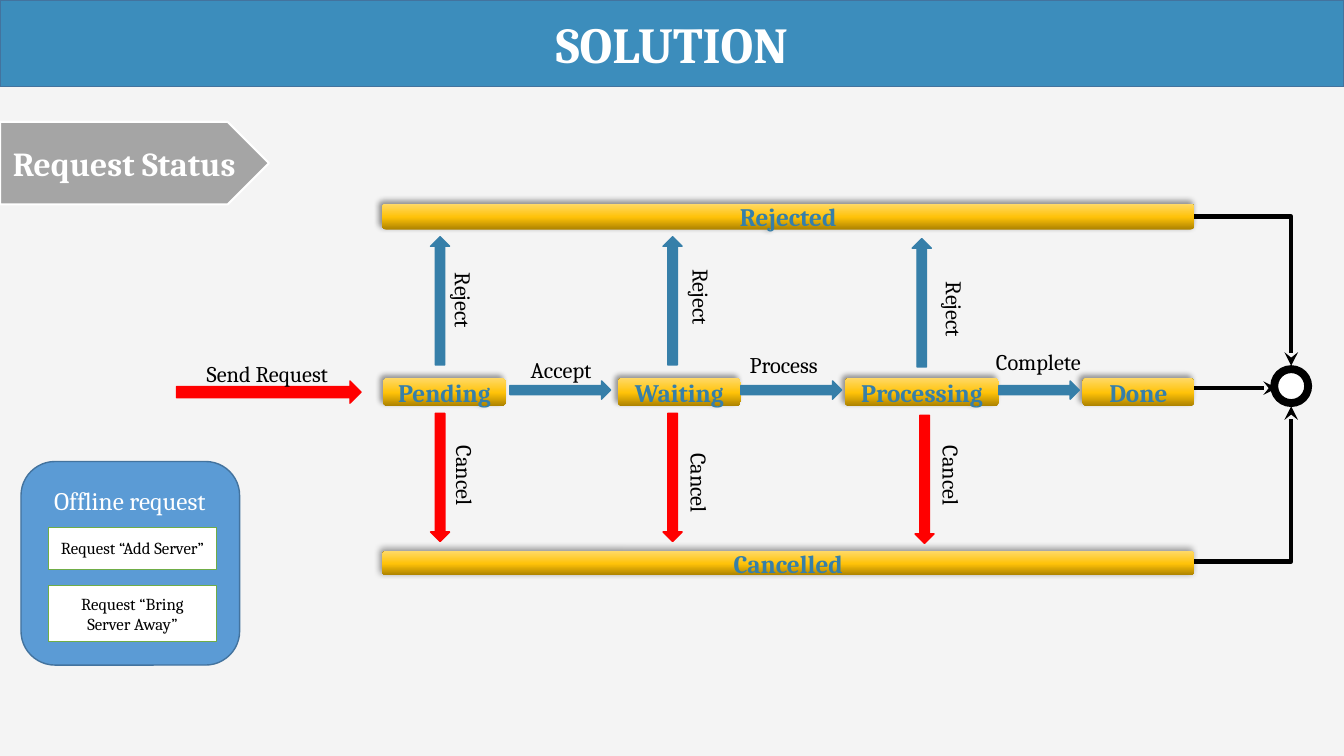
from copy import deepcopy
from dataclasses import dataclass

from lxml.etree import SubElement
from pptx import Presentation
from pptx.dml.color import RGBColor as Rgb
from pptx.enum.shapes import MSO_CONNECTOR as Link, MSO_SHAPE as Kind
from pptx.enum.text import MSO_ANCHOR as Anchor, PP_ALIGN as Align
from pptx.oxml.ns import qn
from pptx.util import Cm, Pt


@dataclass(frozen=True)
class Theme:
    font: str = "Cambria"
    page: str = "F4F4F4"
    banner: str = "3C8DBC"
    panel: str = "5B9BD5"
    panel_edge: str = "43739E"
    item_edge: str = "70AD47"
    tag: str = "A5A5A5"
    blue: str = "367FA9"
    red: str = "FF0000"
    black: str = "000000"
    white: str = "FFFFFF"
    gold: tuple = ((0, "AB8100"), (0.48, "FFC208"), (1, "FFD966"))
    title_size: float = 36
    tag_size: float = 24
    state_size: float = 18
    label_size: float = 16
    item_size: float = 12


def write(box, text, size, color, font, bold=False, spacing=None):
    frame = box.text_frame
    frame.word_wrap = True
    para = frame.paragraphs[0]
    para.alignment = Align.CENTER
    para.line_spacing = spacing
    span = para.add_run()
    span.text = text
    span.font.name, span.font.size, span.font.bold = font, Pt(size), bold
    span.font.color.rgb = Rgb.from_string(color)


class StatusDiagram:
    """Draws on one page; all lengths are in centimetres."""

    def __init__(self, page, theme):
        self.page, self.theme = page, theme
        page.background.fill.solid()
        page.background.fill.fore_color.rgb = Rgb.from_string(theme.page)

    def shape(self, kind, left, top, width, height, fill=None, edge=None,
              weight=1, group=None):
        shapes = (group or self.page).shapes
        box = shapes.add_shape(kind, Cm(left), Cm(top), Cm(width), Cm(height))
        box.shadow.inherit = False
        if fill:
            box.fill.solid()
            box.fill.fore_color.rgb = Rgb.from_string(fill)
        if edge:
            box.line.color.rgb = Rgb.from_string(edge)
            box.line.width = Pt(weight)
        else:
            box.line.fill.background()
        return box

    def caption(self, box, text, size, color=None, bold=False):
        box.text_frame.vertical_anchor = Anchor.MIDDLE
        write(box, text, size, color or self.theme.white, self.theme.font, bold)

    def state(self, text, left, top, width, height):
        """Gold bar, darkest at its lower edge, with a soft shadow."""
        box = self.shape(Kind.ROUNDED_RECTANGLE, left, top, width, height)
        box.fill.gradient()
        stops = box.element.spPr.find(".//" + qn("a:gsLst"))
        stops.insert(1, deepcopy(stops[0]))
        for stop, (position, color) in zip(box.fill.gradient_stops, self.theme.gold):
            stop.position = position
            stop.color.rgb = Rgb.from_string(color)
        box.fill.gradient_angle = 90
        effects = box.element.spPr.find(qn("a:effectLst"))
        shadow = SubElement(effects, qn("a:outerShdw"), blurRad=str(Pt(4)),
                            dist=str(Pt(3)), dir="13500000", algn="br", rotWithShape="0")
        shade = SubElement(shadow, qn("a:srgbClr"), val=self.theme.black)
        SubElement(shade, qn("a:alpha"), val="40000")
        self.caption(box, text, self.theme.state_size, self.theme.blue, bold=True)

    def arrow(self, left, top, length, thickness, color):
        return self.shape(Kind.RIGHT_ARROW, left, top, length, thickness, color, color)

    def upright_arrow(self, x, y, color, turn):
        """Arrow centred on (x, y), turned to point up (270) or down (90)."""
        length, thickness = 3.23, 0.48
        arrow = self.arrow(x - length / 2, y - thickness / 2, length, thickness, color)
        arrow.rotation = turn

    def label(self, text, x, y, turn=0):
        """Text centred on (x, y)."""
        width, height = 4.24, 0.91
        box = self.page.shapes.add_textbox(Cm(x - width / 2), Cm(y - height / 2),
                                           Cm(width), Cm(height))
        box.rotation = turn
        write(box, text, self.theme.label_size, self.theme.black, self.theme.font,
              spacing=0.9)

    def circle(self, x, y, diameter, fill):
        corner = x - diameter / 2, y - diameter / 2
        self.shape(Kind.OVAL, *corner, diameter, diameter, fill, self.theme.black)

    def link(self, start, end):
        """Line with an arrowhead; one bend when the ends differ in height."""
        bent = start[1] != end[1]
        line = self.page.shapes.add_connector(
            Link.ELBOW if bent else Link.STRAIGHT, *map(Cm, start + end))
        line.line.color.rgb = Rgb.from_string(self.theme.black)
        line.line.width = Pt(3.25)
        properties = line.element.spPr
        if bent:
            properties.find(qn("a:prstGeom")).set("prst", "bentConnector2")
        SubElement(properties.find(qn("a:ln")), qn("a:tailEnd"), type="stealth")
        SubElement(properties, qn("a:effectLst"))

    def offline_panel(self):
        theme = self.theme
        group = self.page.shapes.add_group_shape()
        self.shape(Kind.ROUNDED_RECTANGLE, 0.53, 11.63, 5.51, 5.13, theme.panel,
                   theme.panel_edge, group=group)
        for text, top, height in (("Request “Add Server”", 13.28, 1.07),
                                  ("Request “Bring Server Away”", 14.76, 1.4)):
            item = self.shape(Kind.RECTANGLE, 1.22, top, 4.24, height, theme.white,
                              theme.item_edge, group=group)
            self.caption(item, text, theme.item_size, theme.black)
        heading = self.shape(Kind.RECTANGLE, 0.81, 11.96, 4.93, 1.32, theme.panel,
                             group=group)
        self.caption(heading, "Offline request", theme.state_size)


def main():
    theme = Theme()
    deck = Presentation()
    deck.slide_width, deck.slide_height = Cm(33.87), Cm(19.05)
    diagram = StatusDiagram(deck.slides.add_slide(deck.slide_layouts[6]), theme)

    banner = diagram.shape(Kind.RECTANGLE, 0, 0, 33.87, 2.18, theme.banner,
                           theme.panel_edge)
    diagram.caption(banner, "SOLUTION", theme.title_size, bold=True)
    diagram.offline_panel()

    for text, left, width in (("Pending", 9.65, 3.1), ("Waiting", 15.57, 3.1),
                              ("Processing", 21.29, 3.89), ("Done", 27.28, 2.82)):
        diagram.state(text, left, 9.53, width, 0.71)
    diagram.state("Cancelled", 9.63, 13.89, 20.47, 0.61)
    diagram.state("Rejected", 9.63, 5.13, 20.47, 0.66)

    diagram.arrow(4.45, 9.6, 4.65, 0.56, theme.red)
    for left, length in ((12.85, 2.54), (18.67, 2.54), (25.17, 2.03)):
        diagram.arrow(left, 9.6, length, 0.46, theme.blue)
    for x, y in ((11.09, 7.58), (16.95, 7.58), (23.23, 7.63)):
        diagram.upright_arrow(x, y, theme.blue, 270)
    for x, y in ((11.09, 12.03), (16.95, 12.03), (23.3, 12.08)):
        diagram.upright_arrow(x, y, theme.red, 90)

    for text, x, y in (("Send Request", 6.74, 9.47), ("Accept", 14.14, 9.37),
                       ("Process", 19.75, 9.25), ("Complete", 26.17, 9.17)):
        diagram.label(text, x, y)
    for text, places in (("Reject", ((11.62, 7.57), (17.61, 7.49), (23.99, 7.8))),
                         ("Cancel", ((11.65, 11.99), (17.56, 12.17), (23.91, 11.99)))):
        for x, y in places:
            diagram.label(text, x, y, turn=90)

    end_x, end_y = 32.54, 9.73
    diagram.circle(end_x, end_y, 1.02, theme.black)
    diagram.circle(end_x, end_y, 0.69, theme.white)
    diagram.link((30.1, 5.46), (end_x, 9.22))
    diagram.link((30.1, 14.15), (end_x, 10.24))
    diagram.link((30.1, 9.78), (32.18, 9.78))

    tag = diagram.shape(Kind.PENTAGON, 0, 3.07, 6.78, 2.08, theme.tag, theme.white, 1.5)
    diagram.caption(tag, "Request Status", theme.tag_size, bold=True)
    deck.save("out.pptx")


if __name__ == "__main__":
    main()
